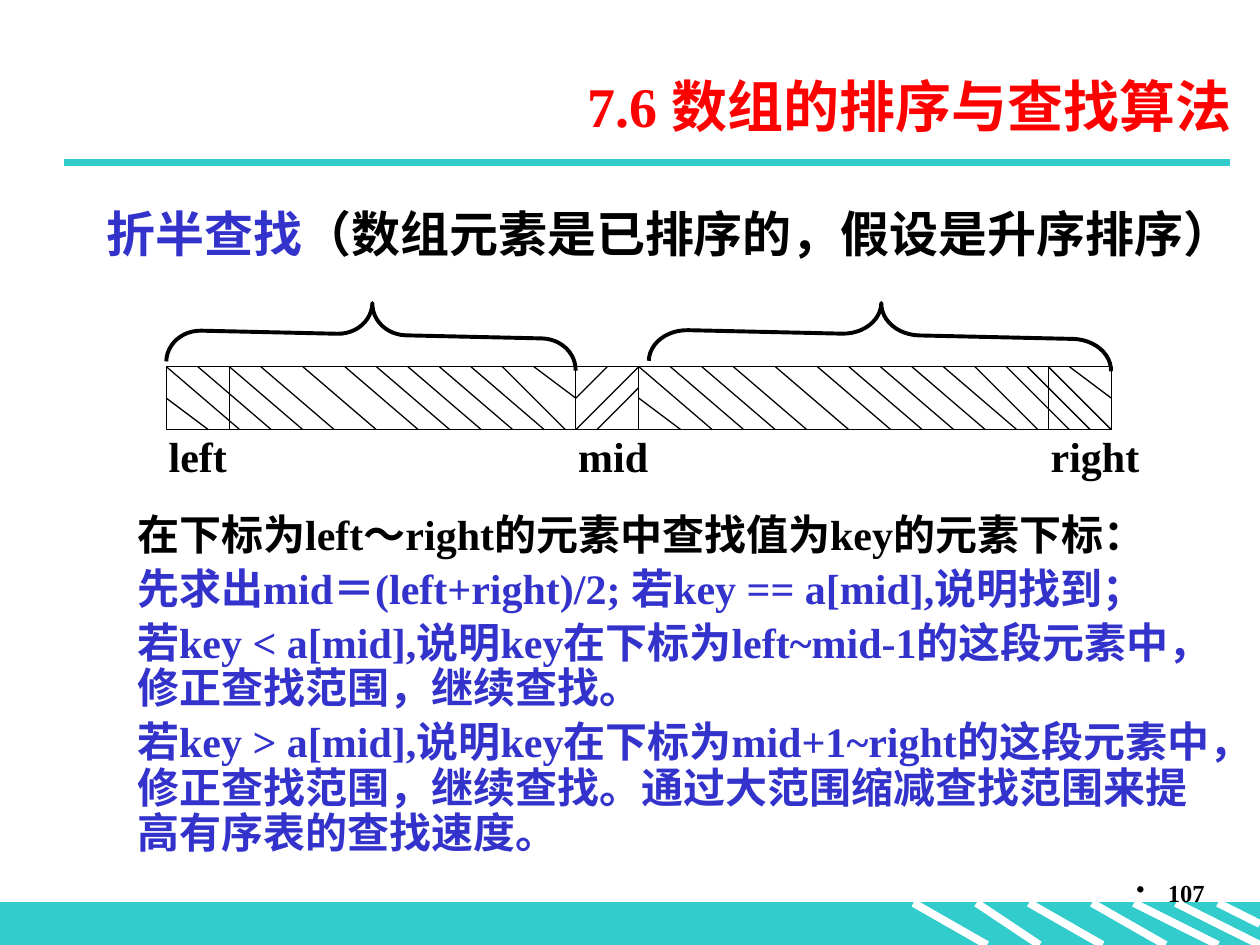
from lxml import etree
from pptx import Presentation
from pptx import util as u
from pptx.dml.color import RGBColor
from pptx.enum import lang, shapes, text
from pptx.oxml import ns

HUES = {"teal": "33CCCC", "white": "FFFFFF", "black": "000000",
        "red": "FF0000", "blue": "3333CC"}
FONT = "Times New Roman"
UNIT = 1 / 12  # grid step in inches
BAR_X, BAR_Y, BAR_W, BAR_H = 1.32, 2.91, 90, 6  # array bar: inches, then steps
FOOT_Y = 86  # footer top, in steps


def hue(name):
    return RGBColor.from_string(HUES[name])


def box_of(left, top, width, height):
    return [u.Inches(n) for n in (left, top, width, height)]


def add_line(slide, start, end, color="black", width=0.75):
    ends = [u.Inches(n) for n in (*start, *end)]
    line = slide.shapes.add_connector(shapes.MSO_CONNECTOR.STRAIGHT, *ends)
    line.line.color.rgb = hue(color)
    line.line.width = u.Pt(width)
    etree.SubElement(line._element.spPr, ns.qn("a:effectLst"))


def add_form(slide, kind, box, fill=None, color="black", width=0.75):
    form = slide.shapes.add_shape(kind, *box_of(*box))
    form.shadow.inherit = False
    if fill:
        form.fill.solid()
        form.fill.fore_color.rgb = hue(fill)
    else:
        form.fill.background()
    form.line.color.rgb = hue(color)
    form.line.width = u.Pt(width)
    return form


def add_runs(para, runs, size, **layout):
    for key, value in layout.items():
        setattr(para, key, value)
    look = {"name": FONT, "size": u.Pt(size), "bold": True,
            "language_id": lang.MSO_LANGUAGE_ID.SIMPLIFIED_CHINESE}
    for words, color in runs:
        run = para.add_run()
        run.text = words
        for key, value in look.items():
            setattr(run.font, key, value)
        run.font.color.rgb = hue(color)


def add_text(slide, box, paras, size, **layout):
    frame = slide.shapes.add_textbox(*box_of(*box)).text_frame
    frame.word_wrap = True
    for i, runs in enumerate(paras):
        para = frame.add_paragraph() if i else frame.paragraphs[0]
        add_runs(para, runs, size, **layout)
    return frame


def add_title(slide, words):
    title = slide.shapes.title
    title.left, title.top, title.width, title.height = box_of(1.38, 0.44, 8.5, 0.79)
    frame = title.text_frame
    frame.vertical_anchor = text.MSO_ANCHOR.MIDDLE
    add_runs(frame.paragraphs[0], [(words, "red")], 32,
             alignment=text.PP_ALIGN.RIGHT)


def add_footer(slide):
    top = FOOT_Y * UNIT
    add_form(slide, shapes.MSO_SHAPE.RECTANGLE, (0, top, 10, 4 * UNIT),
             "teal", "teal")
    # Stripes: left end, run and drop in steps
    for col, run, drop in ((87, 7, 4), (93, 6, 4), (98, 7, 4), (104, 7, 4),
                           (108, 8, 4), (112, 8, 4), (116, 4, 2)):
        add_line(slide, (col * UNIT, top),
                 ((col + run) * UNIT, top + drop * UNIT), "white", 4.5)
    # Page number with its bullet
    frame = add_text(slide, (7.58, 6.92, 2.08, 0.5), [[("107", "black")]], 14,
                     alignment=text.PP_ALIGN.RIGHT)
    props = frame.paragraphs[0]._p.get_or_add_pPr()
    props.set("marL", str(u.Inches(0.25)))
    props.set("indent", str(-u.Inches(0.25)))
    etree.SubElement(props, ns.qn("a:buChar")).set("char", "•")


def bar_line(slide, start, end):
    points = [(BAR_X + col * UNIT, BAR_Y + row * UNIT) for col, row in (start, end)]
    add_line(slide, *points)


def add_hatch(slide, first, last, short):
    """Slanted lines over one half; short lists the steeper tops."""
    tops = [(col, 7) for col in (0, 3, 6, 9, 13, 17, 20, 23, 26, 29)]
    for col, run in tops + [(col, 6) for col in short]:
        bar_line(slide, (first + col, 0), (first + col + run, BAR_H))
    bar_line(slide, (first, 3), (first + 4, BAR_H))
    bar_line(slide, (last - 4, 0), (last, 3))


def add_array(slide):
    add_form(slide, shapes.MSO_SHAPE.RECTANGLE,
             (BAR_X, BAR_Y, BAR_W * UNIT, BAR_H * UNIT))
    for col in (6, 39, 45, 84):
        bar_line(slide, (col, 0), (col, BAR_H))
    for col, words, width in ((0, "left", 0.8), (39, "mid", 1.08),
                              (84, "right", 1.08)):
        add_text(slide, (BAR_X - 0.08 + col * UNIT, 3.41, width, 0.5),
                 [[(words, "black")]], 24, line_spacing=0.9)
    # Left half, right half, then the middle cell slanting the other way
    add_hatch(slide, 0, 39, [32])
    add_hatch(slide, 45, BAR_W, [32, 35, 37, 39])
    for start, end in (((42, 0), (39, 3)), ((45, 2), (41, 6)), ((45, 0), (39, 6))):
        bar_line(slide, start, end)
    # Braces over both halves
    for box, curl in (((2.7, 1.03, 0.5, 3.25), 0.545),
                      ((6.74, 0.82, 0.5, 3.67), 0.615)):
        brace = add_form(slide, shapes.MSO_SHAPE.RIGHT_BRACE, box, width=2.25)
        brace.rotation = 271.3
        brace.adjustments[0] = curl


def main():
    deck = Presentation()
    deck.slide_width, deck.slide_height = u.Inches(10), u.Inches(7.5)
    slide = deck.slides.add_slide(deck.slide_layouts[5])

    # Frame of the slide
    add_footer(slide)
    add_line(slide, (0.51, 1.29), (9.76, 1.29), "teal", 4.5)
    add_title(slide, "7.6 数组的排序与查找算法")

    # Topic and array
    add_text(slide, (0.75, 1.62, 9.25, 0.53),
             [[("折半查找", "blue"),
               ("（数组元素是已排序的，假设是升序排序）", "black")]],
             28, line_spacing=0.9)
    add_array(slide)

    # Search steps
    steps = (
        ("在下标为left～right的元素中查找值为key的元素下标：", "black"),
        ("先求出mid＝(left+right)/2; 若key == a[mid],说明找到；", "blue"),
        ("若key < a[mid],说明key在下标为left~mid-1的这段元素中，"
         "修正查找范围，继续查找。", "blue"),
        ("若key > a[mid],说明key在下标为mid+1~right的这段元素中，"
         "修正查找范围，继续查找。通过大范围缩减查找范围来提高有序表的查找速度。",
         "blue"))
    add_text(slide, (0.99, 4.03, 8.75, 2.9), [[step] for step in steps], 24,
             line_spacing=0.9, space_before=u.Pt(5))

    deck.save("out.pptx")


if __name__ == "__main__":
    main()
